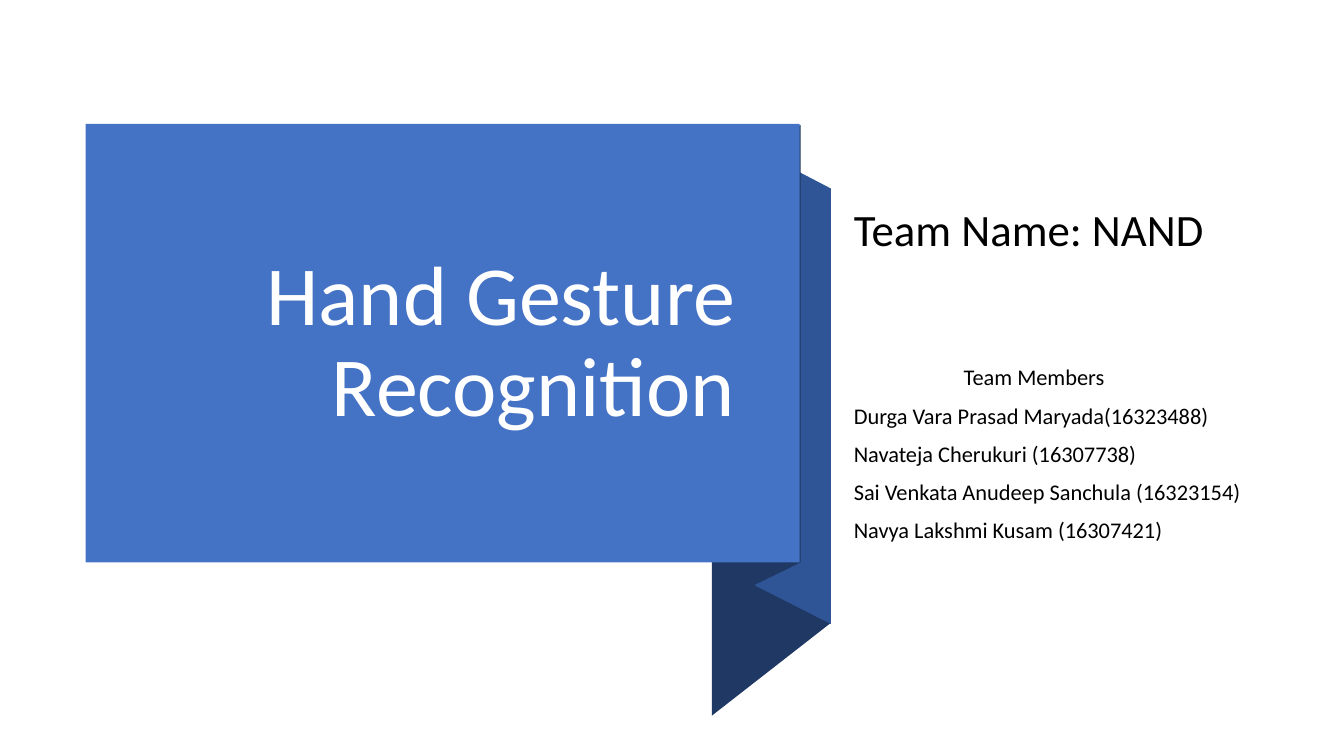
from pptx import Presentation
from pptx.dml.color import RGBColor
from pptx.enum import shapes, text
from pptx.util import Inches, Pt

# Content
TITLE = "Hand Gesture Recognition"
TEAM_NAME = "Team Name: NAND"
MEMBERS_HEADING = "Team Members"
MEMBERS = [
    "Durga Vara Prasad Maryada(16323488)",
    "Navateja Cherukuri (16307738)",
    "Sai Venkata Anudeep Sanchula (16323154)",
    "Navya Lakshmi Kusam (16307421)",
]

THEME = {
    "font": "Calibri",
    "banner": "4472C4", "fold": "2F5597", "shade": "203864",
    "title_ink": "FFFFFF", "ink": "000000",
    "title_size": 60, "team_size": 32, "member_size": 16,
}

# Ribbon folds from back to front: colour and corner points in inches
FOLDS = [
    ("shade", [(8.24, 6.18), (7.06, 7.1), (7.06, 2.84), (8.24, 1.92)]),
    ("fold", [(8.24, 6.19), (7.49, 5.81), (7.49, 1.48), (8.24, 1.87)]),
    ("shade", [(7.94, 5.58), (7.49, 5.8), (7.49, 1.46), (7.94, 1.24)]),
]
BANNER_BOX = (0.85, 1.23, 7.08, 4.35)
TITLE_BOX = (1.5, 1.58, 5.89, 3.66)
TEAM_BOX = (8.37, 2.01, 4.33, 3.45)
HEADING_INDENT = 1.09
HEADING_GAP, MEMBER_GAP = 79, 10


def paint(shape, colour):
    shape.shadow.inherit = False
    shape.fill.solid()
    shape.fill.fore_color.rgb = RGBColor.from_string(THEME[colour])
    shape.line.fill.background()


def add_frame(slide, box, anchor):
    frame = slide.shapes.add_textbox(*map(Inches, box)).text_frame
    frame.word_wrap = True
    frame.vertical_anchor = anchor
    return frame


def style(paragraph, wording, size, ink, gap=0):
    paragraph.text = wording
    paragraph.font.name = THEME["font"]
    paragraph.font.size = Pt(THEME[size])
    paragraph.font.color.rgb = RGBColor.from_string(THEME[ink])
    paragraph.line_spacing = 0.9
    paragraph.space_before = Pt(gap)


def main():
    deck = Presentation()
    deck.slide_width, deck.slide_height = Inches(13.33), Inches(7.5)
    slide = deck.slides.add_slide(deck.slide_layouts[6])

    # Ribbon and banner
    for colour, corners in FOLDS:
        start, *others = [(Inches(x), Inches(y)) for x, y in corners]
        outline = slide.shapes.build_freeform(*start)
        outline.add_line_segments(others, close=True)
        paint(outline.convert_to_shape(), colour)
    banner = slide.shapes.add_shape(
        shapes.MSO_SHAPE.RECTANGLE, *map(Inches, BANNER_BOX))
    paint(banner, "banner")

    # Title
    title = add_frame(slide, TITLE_BOX, text.MSO_ANCHOR.MIDDLE).paragraphs[0]
    style(title, TITLE, "title_size", "title_ink")
    title.alignment = text.PP_ALIGN.RIGHT

    # Team name and members
    team = add_frame(slide, TEAM_BOX, text.MSO_ANCHOR.TOP)
    style(team.paragraphs[0], TEAM_NAME, "team_size", "ink")
    heading = team.add_paragraph()
    style(heading, MEMBERS_HEADING, "member_size", "ink", HEADING_GAP)
    heading_props = heading._p.get_or_add_pPr()
    heading_props.set("marL", str(Inches(HEADING_INDENT)))
    heading_props.set("indent", "0")
    for member in MEMBERS:
        style(team.add_paragraph(), member, "member_size", "ink", MEMBER_GAP)

    deck.save("out.pptx")


if __name__ == "__main__":
    main()
